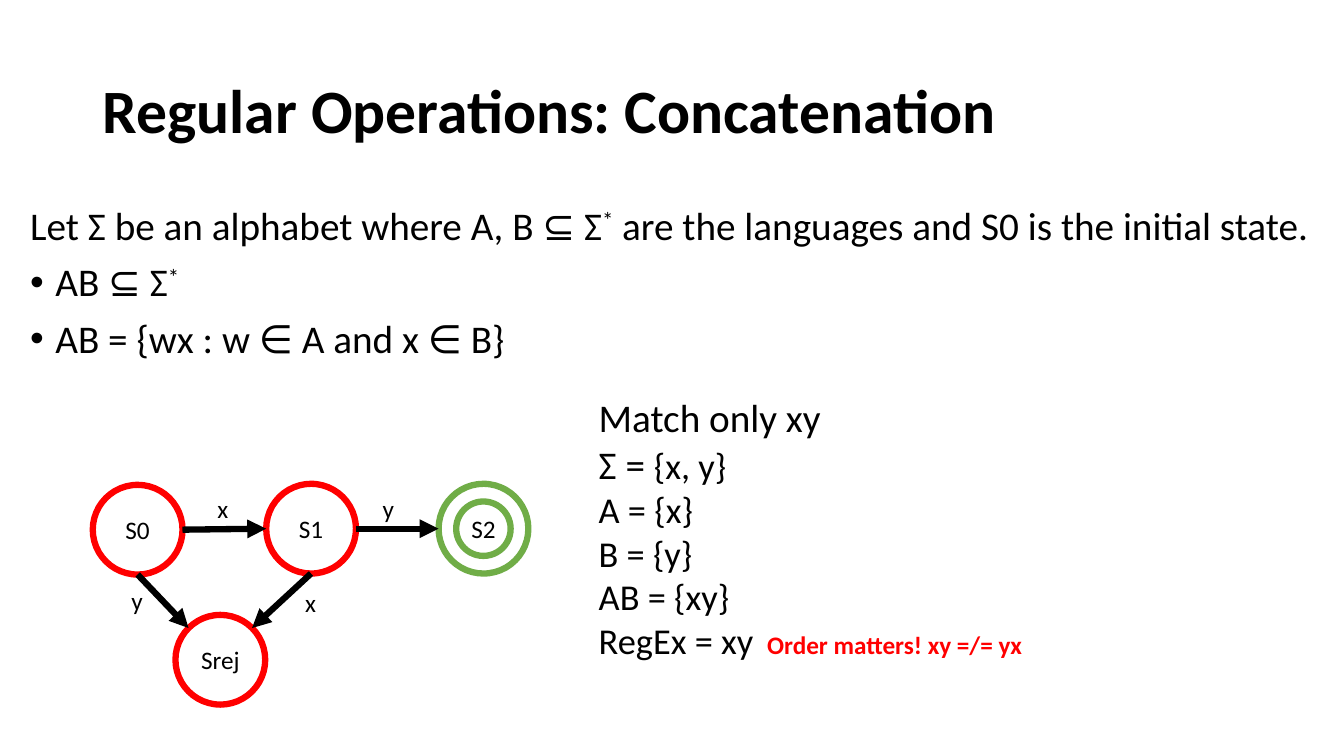
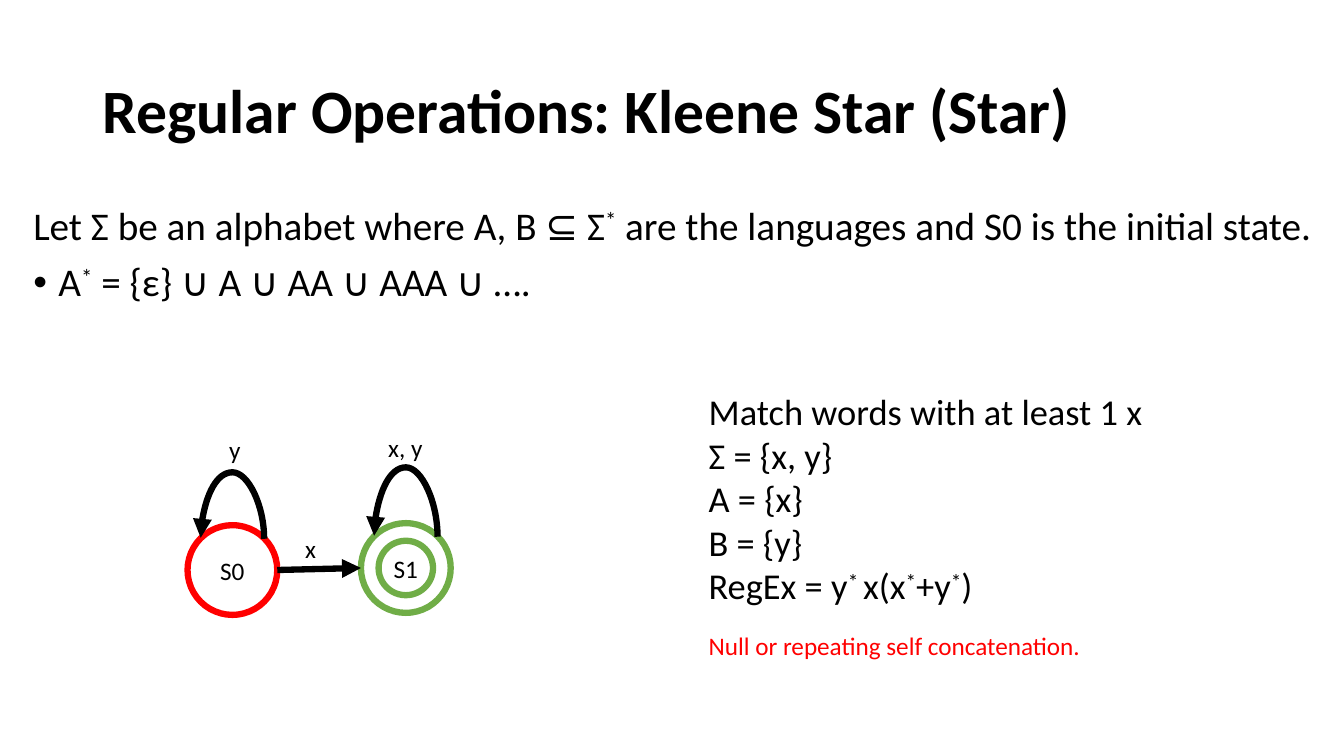
"""Two slides on regular operations: concatenation and Kleene star."""
from math import cos, radians, sin

from lxml.etree import SubElement
from pptx import Presentation
from pptx.dml.color import RGBColor
from pptx.enum.shapes import MSO_CONNECTOR, MSO_SHAPE
from pptx.enum.text import MSO_ANCHOR, MSO_AUTO_SIZE, PP_ALIGN
from pptx.oxml.ns import qn
from pptx.util import Inches, Pt

BLACK = RGBColor(0x00, 0x00, 0x00)
WHITE = RGBColor(0xFF, 0xFF, 0xFF)
RED = RGBColor(0xFF, 0x00, 0x00)
GREEN = RGBColor(0x70, 0xAD, 0x47)
FONT = "Calibri"
STROKE = Pt(4.5)
NODE, RING = 0.89, 0.54
TOP, TOP_LEFT, LEFT, BOTTOM, RIGHT, TOP_RIGHT = 0, 1, 2, 4, 6, 7
INTRO = "Let Σ be an alphabet where A, B ⊆ Σ^*^ are the languages and S0 is the initial state."

SLIDES = [
    dict(
        title="Regular Operations: Concatenation",
        body_left=0.2,
        bullets=["AB ⊆ Σ^*^", "AB = {wx : w ∈ A and x ∈ B}"],
        nodes=[("S0", 0.92, 4.81, RED), ("S1", 2.64, 4.8, RED),
               ("S2", 4.35, 4.8, GREEN), ("Srej", 1.74, 6.1, RED)],
        arrows=[("S0", RIGHT, "S1", LEFT), ("S1", RIGHT, "S2", LEFT),
                ("S0", BOTTOM, "Srej", TOP_LEFT), ("S1", BOTTOM, "Srej", TOP_RIGHT)],
        loops=[],
        labels=[("x", 2.21, 4.84), ("y", 3.85, 4.84), ("x", 3.08, 5.78), ("y", 1.36, 5.76)],
        example=[[("Match only xy", 28)], [("Σ = ", 28), ("{x, y}", 26)], [("A = {x}", 26)],
                 [("B = {y}", 26)], [("AB = {xy}", 26)], [("RegEx = xy", 26)]],
        example_at=(5.84, 3.85, 5.03, 2.79),
        note="Order matters! xy =/= yx", note_at=(7.51, 6.19, 2.91, 0.4), note_bold=True,
    ),
    dict(
        title="Regular Operations: Kleene Star (Star)",
        body_left=0.23,
        bullets=["A^*^ = {ε} ∪ A ∪ AA ∪ AAA ∪ …."],
        nodes=[("S0", 1.86, 5.21, RED), ("S1", 3.58, 5.19, GREEN)],
        arrows=[("S0", RIGHT, "S1", LEFT)],
        loops=[("S0", 0.67), ("S1", 0.7)],
        labels=[("x, y", 4.02, 4.24), ("x", 3.08, 5.24), ("y", 2.33, 4.26)],
        example=[[("Match words with at least 1 x", 26)], [("Σ = {x, y}", 26)], [("A = {x}", 26)],
                 [("B = {y}", 26)], [("RegEx = y^* ^x(x^*^+y^*^)", 26)]],
        example_at=(6.93, 3.81, 4.75, 2.29),
        note="Null or repeating self concatenation.", note_at=(6.93, 6.2, 4.97, 0.4),
        note_bold=False,
    ),
]


def write(p, text, size=18, bold=False, color=BLACK, align=PP_ALIGN.LEFT):
    p.alignment = align
    for i, part in enumerate(text.split("^")):
        if part:
            r = p.add_run()
            r.text = part
            r.font.name, r.font.size, r.font.bold = FONT, Pt(size), bold
            r.font.color.rgb = color
            if i % 2:
                r._r.get_or_add_rPr().set("baseline", "30000")


def connect(s, kind, box, start, start_site, end, end_site):
    c = s.shapes.add_connector(kind, *[Inches(v) for v in box])
    c.line.color.rgb = BLACK
    c.line.width = STROKE
    spPr = c._element.spPr
    SubElement(spPr.find(qn("a:ln")), qn("a:tailEnd"), type="triangle")
    SubElement(spPr, qn("a:effectLst"))
    ends = c._element.nvCxnSpPr.cNvCxnSpPr
    for cxn, sp, site in ((ends.get_or_add_stCxn(), start, start_site),
                          (ends.get_or_add_endCxn(), end, end_site)):
        cxn.set("id", str(sp.shape_id))
        cxn.set("idx", str(site))
    return spPr


prs = Presentation()
prs.slide_width, prs.slide_height = Inches(13.33), Inches(7.5)

for data in SLIDES:
    s = prs.slides.add_slide(prs.slide_layouts[1])
    title, body = s.placeholders[0], s.placeholders[1]
    left = data["body_left"]
    for sp, box in ((title, (0.92, 0.4, 11.5, 1.45)), (body, (left, 2, 13.18 - left, 5.18))):
        sp.left, sp.top, sp.width, sp.height = [Inches(v) for v in box]
        sp.text_frame.auto_size = MSO_AUTO_SIZE.NONE
        sp.text_frame.word_wrap = True
    title.text_frame.vertical_anchor = MSO_ANCHOR.MIDDLE
    p = title.text_frame.paragraphs[0]
    p.line_spacing = 0.9
    write(p, data["title"], size=44, bold=True)

    tf = body.text_frame
    for i, line in enumerate([INTRO] + data["bullets"]):
        p = tf.add_paragraph() if i else tf.paragraphs[0]
        p.line_spacing = 0.9
        p.space_before = Pt(10 if i else 0)
        pPr = p._p.get_or_add_pPr()
        pPr.set("marL", str(Inches(0.25) if i else 0))
        pPr.set("indent", str(Inches(-0.25) if i else 0))
        if i:
            SubElement(pPr, qn("a:buFont"), typeface="Arial")
            SubElement(pPr, qn("a:buChar"), char="•")
        else:
            SubElement(pPr, qn("a:buNone"))
        write(p, line, size=28)

    nodes, sites = {}, {}
    for name, x, y, color in data["nodes"]:
        inset = (NODE - RING) / 2
        circles = [(x, y, NODE)] + ([(x + inset, y + inset, RING)] if color == GREEN else [])
        for cx, cy, d in circles:
            sp = s.shapes.add_shape(MSO_SHAPE.OVAL, Inches(cx), Inches(cy), Inches(d), Inches(d))
            sp.shadow.inherit = False
            sp.line.color.rgb = color
            sp.line.width = STROKE
            if d == RING:
                sp.fill.background()
                continue
            sp.fill.solid()
            sp.fill.fore_color.rgb = WHITE
            tf = sp.text_frame
            tf.word_wrap = False
            tf.vertical_anchor = MSO_ANCHOR.MIDDLE
            write(tf.paragraphs[0], name, align=PP_ALIGN.CENTER)
            nodes[name] = sp
        for site in range(8):
            angle = radians(90 + 45 * site)
            sites[name, site] = (x + NODE / 2 * (1 + cos(angle)), y + NODE / 2 * (1 - sin(angle)))

    for a, a_site, b, b_site in data["arrows"]:
        connect(s, MSO_CONNECTOR.STRAIGHT, sites[a, a_site] + sites[b, b_site],
                nodes[a], a_site, nodes[b], b_site)

    for name, rise in data["loops"]:
        (x1, y1), (x2, _) = sites[name, TOP_LEFT], sites[name, TOP_RIGHT]
        mid, half, thin = (x1 + x2) / 2, (x2 - x1) / 2, 0.01
        box = (mid - thin / 2, y1 - half, mid + thin / 2, y1 + half)
        spPr = connect(s, MSO_CONNECTOR.CURVE, box, nodes[name], TOP_RIGHT, nodes[name], TOP_LEFT)
        xfrm = spPr.find(qn("a:xfrm"))
        xfrm.set("rot", str(270 * 60000))
        xfrm.set("flipV", "1")
        avLst = spPr.find(qn("a:prstGeom")).get_or_add_avLst()
        SubElement(avLst, qn("a:gd"), name="adj1", fmla=f"val {round(rise / thin * 100000)}")

    for text, mid, y in data["labels"]:
        w = 0.55 if len(text) > 1 else 0.32
        tb = s.shapes.add_textbox(Inches(mid - w / 2), Inches(y), Inches(w), Inches(0.4))
        tb.text_frame.word_wrap = False
        write(tb.text_frame.paragraphs[0], text, align=PP_ALIGN.CENTER)

    tf = s.shapes.add_textbox(*[Inches(v) for v in data["example_at"]]).text_frame
    tf.word_wrap = True
    for i, runs in enumerate(data["example"]):
        p = tf.add_paragraph() if i else tf.paragraphs[0]
        for text, size in runs:
            write(p, text, size=size)

    tf = s.shapes.add_textbox(*[Inches(v) for v in data["note_at"]]).text_frame
    tf.word_wrap = True
    write(tf.paragraphs[0], data["note"], bold=data["note_bold"], color=RED)

prs.save("out.pptx")
